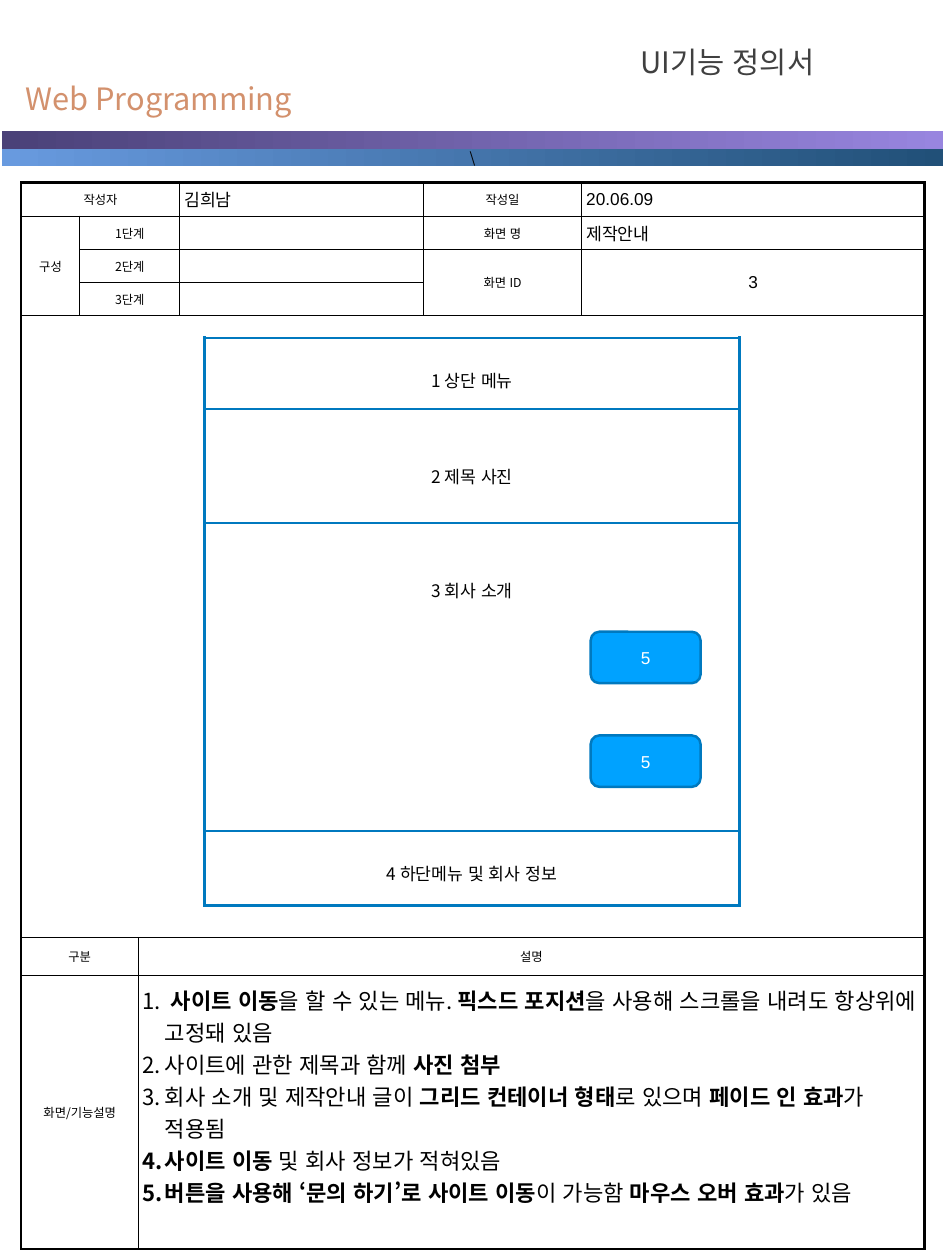
import pptx
import pptx.util
import pptx.dml.color
import pptx.enum.lang
import pptx.enum.shapes
import pptx.enum.text
import pptx.oxml.ns
from lxml import etree

Inches, Pt = pptx.util.Inches, pptx.util.Pt
RGBColor = pptx.dml.color.RGBColor
SHAPE = pptx.enum.shapes.MSO_SHAPE
ALIGN = pptx.enum.text.PP_ALIGN
MIDDLE = pptx.enum.text.MSO_ANCHOR.MIDDLE
TOP = pptx.enum.text.MSO_ANCHOR.TOP
qn = pptx.oxml.ns.qn

BLACK = RGBColor(0x00, 0x00, 0x00)
WHITE = RGBColor(0xFF, 0xFF, 0xFF)
GREY = RGBColor(0x40, 0x40, 0x40)
COPPER = RGBColor(0xD3, 0x91, 0x6D)
FRAME_BLUE = RGBColor(0x00, 0x79, 0xBF)
BUTTON_BLUE = RGBColor(0x00, 0xA2, 0xFF)
PURPLE_BAR = (RGBColor(0x4A, 0x41, 0x78), RGBColor(0x98, 0x85, 0xDF))
BLUE_BAR = (RGBColor(0x68, 0x9A, 0xDF), RGBColor(0x21, 0x50, 0x78))
KOREAN, LATIN = "Noto Sans CJK KR", "Arial"
NO_STYLE = "{2D5ABB26-0587-4C30-8999-92F81FD0307C}"


def add_run(p, text, size, color=BLACK, font=KOREAN, bold=False):
    r = p.add_run()
    r.text = text
    r.font.size = Pt(size)
    r.font.bold = bold
    r.font.color.rgb = color
    r.font.name = font
    r.font.language_id = pptx.enum.lang.MSO_LANGUAGE_ID.KOREAN
    etree.SubElement(r._r.get_or_add_rPr(), qn("a:ea"), typeface=font)


def set_borders(cell, color, widths):
    """widths maps the sides L, R, T, B, in that order, to points."""
    tcPr = cell._tc.get_or_add_tcPr()
    for side, width in widths.items():
        ln = etree.SubElement(tcPr, qn("a:ln" + side), w=str(Pt(width)))
        fill = etree.SubElement(ln, qn("a:solidFill"))
        etree.SubElement(fill, qn("a:srgbClr"), val=str(color))


prs = pptx.Presentation()
prs.slide_width, prs.slide_height = Inches(10.67), Inches(14.22)
s = prs.slides.add_slide(prs.slide_layouts[6])

# Definition table: row, column, row span, column span, text, size, font, centred
COLS = [0.66, 0.66, 0.47, 2.75, 1.79, 3.87]
ROWS = [0.38, 0.38, 0.37, 0.37, 7.02, 0.43, 3.09]
CELLS = [
    (0, 0, 1, 3, "작성자", 10, KOREAN, True),
    (0, 3, 1, 1, "김희남", 14, KOREAN, False),
    (0, 4, 1, 1, "작성일", 10, KOREAN, True),
    (0, 5, 1, 1, "20.06.09", 14, LATIN, False),
    (1, 0, 3, 1, "구성", 10, KOREAN, True),
    (1, 1, 1, 2, "1단계", 10, KOREAN, True),
    (1, 3, 1, 1, "", 10, KOREAN, True),
    (1, 4, 1, 1, "화면 명", 10, KOREAN, True),
    (1, 5, 1, 1, "제작안내", 14, KOREAN, False),
    (2, 1, 1, 2, "2단계", 10, KOREAN, True),
    (2, 3, 1, 1, "", 10, KOREAN, True),
    (2, 4, 2, 1, "화면 ID", 10, KOREAN, True),
    (2, 5, 2, 1, "3", 14, LATIN, True),
    (3, 1, 1, 2, "3단계", 10, KOREAN, True),
    (3, 3, 1, 1, "", 10, KOREAN, True),
    (4, 0, 1, 6, "", 10, KOREAN, True),
    (5, 0, 1, 2, "구분", 10, KOREAN, True),
    (5, 2, 1, 4, "설명", 10, KOREAN, True),
    (6, 0, 1, 2, "화면/기능설명", 10, KOREAN, True),
    (6, 2, 1, 4, "", 18, KOREAN, False),
]
frame = s.shapes.add_table(len(ROWS), len(COLS), Inches(0.24), Inches(2.06),
                           Inches(sum(COLS)), Inches(sum(ROWS)))
tbl = frame.table
tbl._tbl.tblPr.find(qn("a:tableStyleId")).text = NO_STYLE
tbl.first_row = tbl.horz_banding = False
for col, width in zip(tbl.columns, COLS):
    col.width = Inches(width)
for row, height in zip(tbl.rows, ROWS):
    row.height = Inches(height)

for top, left, down, across, text, size, font, centred in CELLS:
    cell = tbl.cell(top, left)
    if down * across > 1:
        cell.merge(tbl.cell(top + down - 1, left + across - 1))
    # Heavy outer frame, thin inner lines
    outer = {"L": left == 0, "R": left + across == len(COLS),
             "T": top == 0, "B": top + down == len(ROWS)}
    set_borders(cell, BLACK, {side: 2.25 if heavy else 1 for side, heavy in outer.items()})
    cell.fill.solid()
    cell.fill.fore_color.rgb = WHITE
    cell.vertical_anchor = MIDDLE
    cell.margin_left = cell.margin_right = Inches(0.05)
    cell.margin_top = cell.margin_bottom = Inches(0.02)
    p = cell.text_frame.paragraphs[0]
    p.alignment = ALIGN.CENTER if centred else ALIGN.LEFT
    if text:
        add_run(p, text, size, font=font)

# Numbered descriptions: (text, bold) runs
NOTES = [
    [(" ", False), ("사이트 이동", True), ("을 할 수 있는 메뉴. ", False),
     ("픽스드 포지션", True), ("을 사용해 스크롤을 내려도 항상위에 고정돼 있음", False)],
    [("사이트에 관한 제목과 함께 ", False), ("사진 첨부", True)],
    [("회사 소개 및 제작안내 글이 ", False), ("그리드 컨테이너 형태", True),
     ("로 있으며 ", False), ("페이드 인 효과", True), ("가 적용됨", False)],
    [("사이트 이동 ", True), ("및 회사 정보가 적혀있음", False)],
    [("버튼을 사용해 ‘문의 하기’로 사이트 이동", True), ("이 가능함 ", False),
     ("마우스 오버 효과", True), ("가 있음", False)],
]
cell = tbl.cell(6, 2)
cell.vertical_anchor = TOP
cell.margin_top = Inches(0.09)
tf = cell.text_frame
for n, note in enumerate(NOTES):
    p = tf.add_paragraph() if n else tf.paragraphs[0]
    pPr = p._p.get_or_add_pPr()
    pPr.set("marL", str(Inches(0.25)))
    pPr.set("indent", str(-Inches(0.25)))
    etree.SubElement(pPr, qn("a:buAutoNum"), type="arabicPeriod")
    for text, bold in note:
        add_run(p, text, 18, bold=bold)

# Header titles
for x, y, w, h, text, size, color in [
        (7.17, 0.44, 2.5, 0.56, "UI기능 정의서", 24, GREY),
        (0.23, 0.84, 3.4, 0.51, "Web Programming", 25, COPPER)]:
    tf = s.shapes.add_textbox(Inches(x), Inches(y), Inches(w), Inches(h)).text_frame
    tf.word_wrap = True
    tf.margin_left = tf.margin_right = tf.margin_top = tf.margin_bottom = Inches(0.06)
    add_run(tf.paragraphs[0], text, size, color)

# Gradient bars
for y, h, colors, text in [(1.48, 0.2, PURPLE_BAR, ""), (1.68, 0.19, BLUE_BAR, "\\")]:
    sp = s.shapes.add_shape(SHAPE.RECTANGLE, Inches(0.02), Inches(y), Inches(10.63), Inches(h))
    sp.shadow.inherit = False
    sp.line.fill.background()
    sp.fill.gradient()
    sp.fill.gradient_angle = 0
    for stop, color in zip(sp.fill.gradient_stops, colors):
        stop.color.rgb = color
    if text:
        sp.text_frame.vertical_anchor = MIDDLE
        p = sp.text_frame.paragraphs[0]
        p.alignment = ALIGN.CENTER
        add_run(p, text, 12)

# Page wireframe: height, space above the text, text
SECTIONS = [(0.81, 0.34, "1 상단 메뉴"), (1.28, 0.61, "2 제목 사진"),
            (3.48, 0.62, "3 회사 소개"), (0.84, 0.33, "4 하단메뉴 및 회사 정보")]
frame = s.shapes.add_table(len(SECTIONS), 1, Inches(2.31), Inches(3.81),
                           Inches(6.04), Inches(6.41))
tbl = frame.table
tbl._tbl.tblPr.find(qn("a:tableStyleId")).text = NO_STYLE
tbl.first_row = tbl.horz_banding = False
for n, (height, gap, text) in enumerate(SECTIONS):
    tbl.rows[n].height = Inches(height)
    cell = tbl.cell(n, 0)
    set_borders(cell, FRAME_BLUE, dict.fromkeys("LRTB", 2))
    cell.fill.background()
    cell.margin_top = Inches(gap)
    p = cell.text_frame.paragraphs[0]
    p.alignment = ALIGN.CENTER
    add_run(p, text, 14)

# Buttons
for y in (7.13, 8.3):
    sp = s.shapes.add_shape(SHAPE.ROUNDED_RECTANGLE, Inches(6.67), Inches(y),
                            Inches(1.24), Inches(0.58))
    sp.shadow.inherit = False
    sp.fill.solid()
    sp.fill.fore_color.rgb = BUTTON_BLUE
    sp.line.color.rgb = FRAME_BLUE
    sp.line.width = Pt(2)
    sp.text_frame.vertical_anchor = MIDDLE
    p = sp.text_frame.paragraphs[0]
    p.alignment = ALIGN.CENTER
    add_run(p, "5", 14, WHITE, LATIN)

prs.save("out.pptx")
